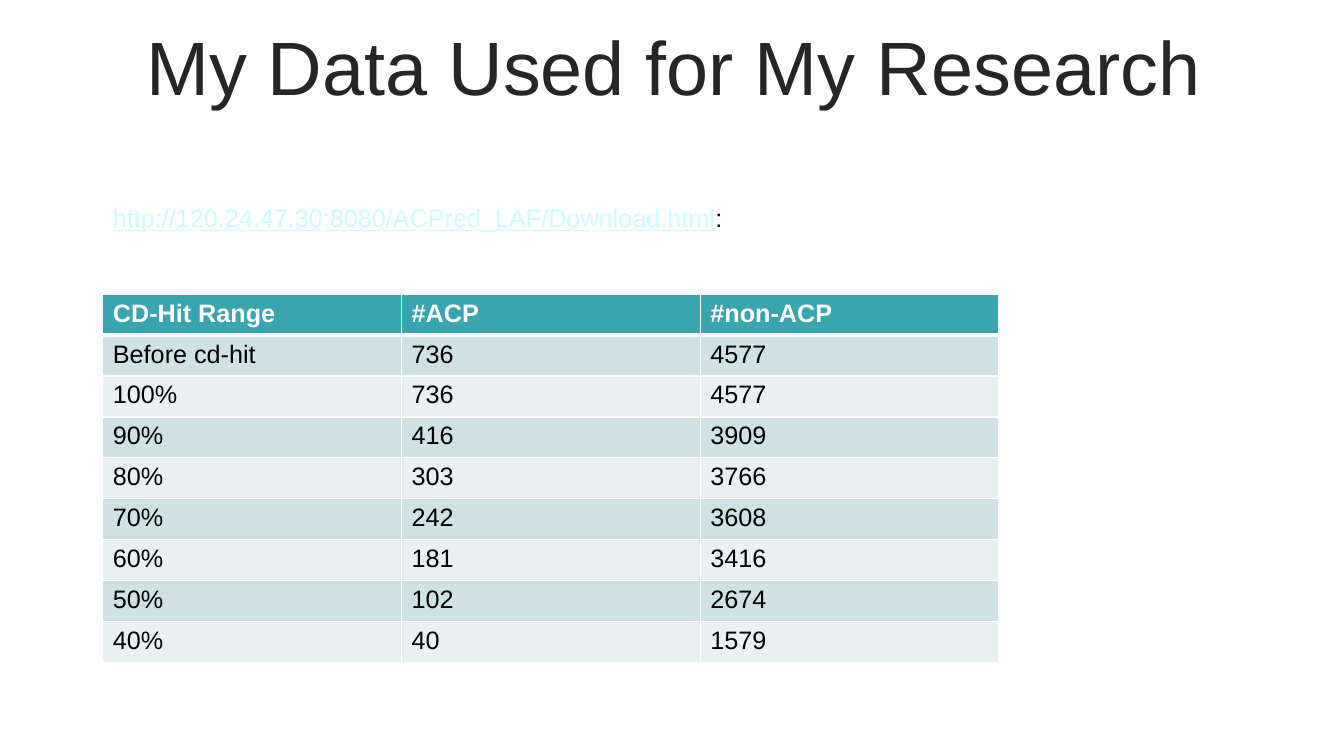
from pptx import Presentation
from pptx.dml.color import RGBColor
from pptx.enum.text import MSO_ANCHOR, PP_ALIGN
from pptx.oxml import parse_xml
from pptx.oxml.ns import nsdecls
from pptx.util import Inches, Pt

ROWS = [
    ("CD-Hit Range", "#ACP", "#non-ACP"),
    ("Before cd-hit", "736", "4577"),
    ("100%", "736", "4577"),
    ("90%", "416", "3909"),
    ("80%", "303", "3766"),
    ("70%", "242", "3608"),
    ("60%", "181", "3416"),
    ("50%", "102", "2674"),
    ("40%", "40", "1579"),
]


def color(value):
    return RGBColor.from_string(value)


def write(para, text, font="Arial", size=18, fill="000000", bold=False, line=False):
    run = para.add_run()
    run.text = text
    run.font.name = font
    run.font.size = Pt(size)
    run.font.color.rgb = color(fill)
    run.font.bold = bold
    run.font.underline = line


class Page:
    head = "39A5AE"
    bands = ("E8F0F2", "CEE1E3")
    rule = "FFFFFF"

    def __init__(self, deck):
        self.slide = deck.slides.add_slide(deck.slide_layouts[6])

    def text(self, left, top, width, height, runs, anchor=MSO_ANCHOR.TOP,
             align=PP_ALIGN.LEFT, space=1):
        box = self.slide.shapes.add_textbox(
            Inches(left), Inches(top), Inches(width), Inches(height))
        frame = box.text_frame
        frame.word_wrap = True
        frame.vertical_anchor = anchor
        para = frame.paragraphs[0]
        para.alignment = align
        para.line_spacing = space
        for words, style in runs:
            write(para, words, **style)

    def border(self, cell, row):
        widths = {"L": 1, "R": 1, "T": 3 if row == 1 else 1, "B": 3 if row == 0 else 1}
        props = cell._tc.get_or_add_tcPr()
        for place, (side, width) in enumerate(widths.items()):
            props.insert(place, parse_xml(
                f'<a:ln{side} {nsdecls("a")} w="{Pt(width)}"><a:solidFill>'
                f'<a:srgbClr val="{self.rule}"/></a:solidFill></a:ln{side}>'))

    def table(self, left, top, width, height, rows):
        grid = self.slide.shapes.add_table(
            len(rows), len(rows[0]), Inches(left), Inches(top),
            Inches(width), Inches(height)).table
        for r, row in enumerate(rows):
            first = r == 0
            for c, value in enumerate(row):
                cell = grid.cell(r, c)
                cell.fill.solid()
                cell.fill.fore_color.rgb = color(self.head if first else self.bands[r % 2])
                write(cell.text_frame.paragraphs[0], value, bold=first,
                      fill="FFFFFF" if first else "000000")
                self.border(cell, r)


def main():
    deck = Presentation()
    deck.slide_width, deck.slide_height = Inches(13.33), Inches(7.5)
    page = Page(deck)
    page.text(0.35, 0.31, 12.66, 0.79,
              [("My Data Used for My Research", {"size": 54, "fill": "262626"})],
              anchor=MSO_ANCHOR.MIDDLE, align=PP_ALIGN.CENTER, space=0.9)
    page.text(1.02, 1.96, 10.72, 1.92,
              [("http://120.24.47.30:8080/ACPred_LAF/Download.html",
                {"fill": "CDFEFD", "line": True}),
               (":", {"fill": "0D0D0D"})])
    page.table(1.02, 2.92, 8.89, 3.65, ROWS)
    deck.save("out.pptx")


if __name__ == "__main__":
    main()
